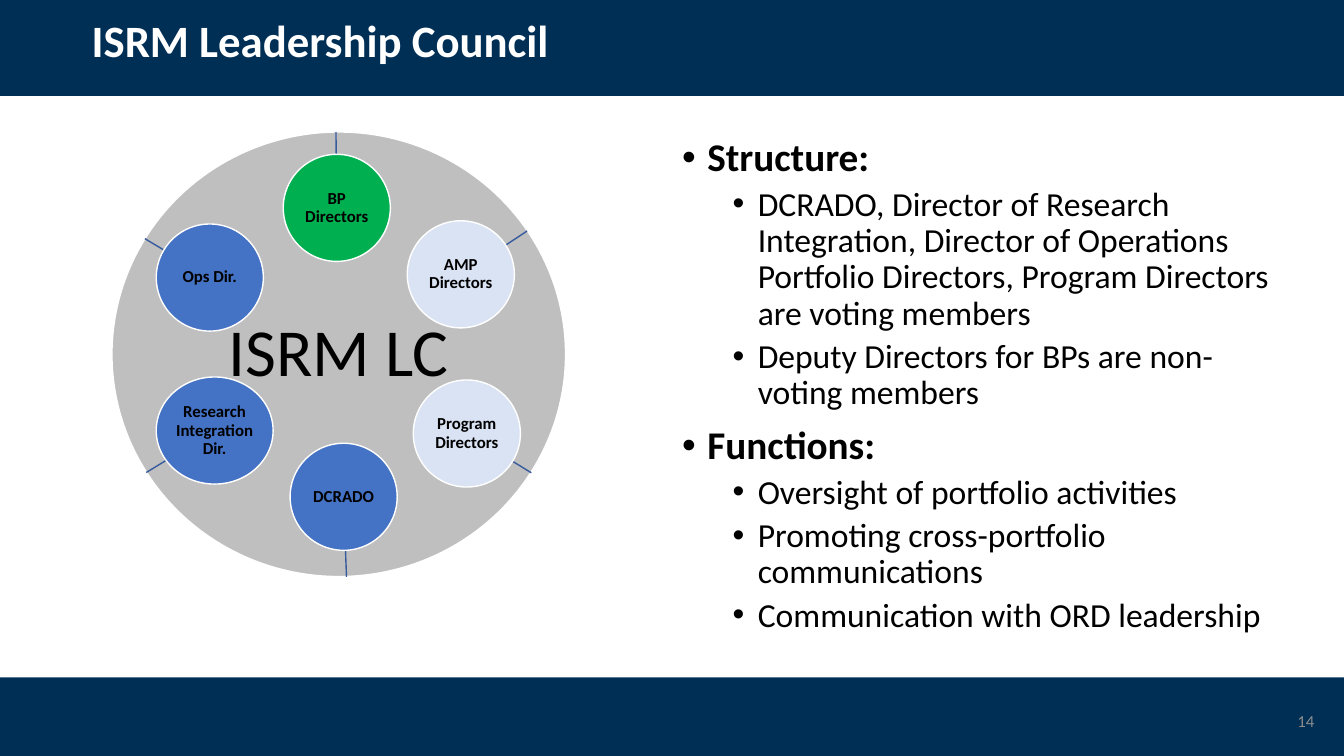
"""Build the ISRM Leadership Council slide."""
from dataclasses import dataclass

from lxml import etree
from pptx import Presentation
from pptx import util as u
from pptx.dml.color import RGBColor
from pptx.enum import shapes, text
from pptx.oxml import ns

NAVY, WHITE, BLACK = "002F56", "FFFFFF", "000000"
BLUE, PALE, GREEN, GREY = "4472C4", "DAE3F3", "00B050", "BFBFBF"
SPOKE_BLUE, NUMBER_GREY = "365B9D", "8C8C8C"
DIAMETER = 76.5


@dataclass
class Member:
    label: str
    fill: str
    left: float
    top: float
    rim: tuple[float, float]
    hub: tuple[float, float]
    width: float = DIAMETER


@dataclass
class Topic:
    heading: str
    points: list[str]


MEMBERS = [
    Member("BP Directors", GREEN, 202.3, 110.2, (240, 94.3), (241, 186.5)),
    Member("AMP Directors", PALE, 290.9, 157.7, (376.5, 165), (297.5, 217.5)),
    Member("Program Directors", PALE, 295.2, 271.4, (379.5, 337.7), (301, 289.5)),
    Member("DCRADO", BLUE, 207.2, 316.6, (247.5, 412), (244, 317)),
    Member("Research Integration Dir.", BLUE, 111.6, 269.3, (104.5, 337.5), (188, 286.5), 83.5),
    Member("Ops Dir.", BLUE, 111.6, 160, (103.5, 170.5), (183, 218)),
]
TOPICS = [
    Topic("Structure:", [
        "DCRADO, Director of Research Integration, Director of Operations "
        "Portfolio Directors, Program Directors are voting members",
        "Deputy Directors for BPs are non-voting members",
    ]),
    Topic("Functions:", [
        "Oversight of portfolio activities",
        "Promoting cross-portfolio communications",
        "Communication with ORD leadership",
    ]),
]


def color(value: str) -> RGBColor:
    return RGBColor.from_string(value)


def style(para, size: float, shade: str, bold: bool = False) -> None:
    para.font.name = "Calibri"
    para.font.size = u.Pt(size)
    para.font.bold = bold
    para.font.color.rgb = color(shade)


def set_margins(frame, margin: float) -> None:
    frame.margin_left = frame.margin_right = u.Pt(margin)
    frame.margin_top = frame.margin_bottom = u.Pt(margin)


def add_filled(page, kind, left: float, top: float, width: float, height: float, fill: str):
    shape = page.shapes.add_shape(kind, u.Pt(left), u.Pt(top), u.Pt(width), u.Pt(height))
    shape.shadow.inherit = False
    shape.fill.solid()
    shape.fill.fore_color.rgb = color(fill)
    shape.line.fill.background()
    return shape


def add_circle(page, left: float, top: float, width: float, height: float,
               fill: str, label: str, size: float, bold: bool) -> None:
    circle = add_filled(page, shapes.MSO_SHAPE.OVAL, left, top, width, height, fill)
    circle.line.color.rgb = color(WHITE)
    circle.line.width = u.Pt(1)
    frame = circle.text_frame
    frame.word_wrap = True
    frame.vertical_anchor = text.MSO_ANCHOR.MIDDLE
    set_margins(frame, 1)
    para = frame.paragraphs[0]
    para.text = label
    para.alignment = text.PP_ALIGN.CENTER
    para.line_spacing = 0.9
    style(para, size, BLACK, bold)


def add_spoke(page, member: Member) -> None:
    ends = [u.Pt(value) for value in (*member.rim, *member.hub)]
    spoke = page.shapes.add_connector(shapes.MSO_CONNECTOR.STRAIGHT, *ends)
    spoke.line.color.rgb = color(SPOKE_BLUE)
    spoke.line.width = u.Pt(1)
    etree.SubElement(spoke._element.spPr, ns.qn("a:effectLst"))


def add_text_box(page, left: float, top: float, width: float, height: float):
    box = page.shapes.add_textbox(u.Pt(left), u.Pt(top), u.Pt(width), u.Pt(height))
    box.text_frame.word_wrap = True
    return box.text_frame


def add_bullet(para, content: str, level: int, space_before: float) -> None:
    para.text = content
    para.level = level
    para.line_spacing = 0.9
    para.space_before = u.Pt(space_before)
    properties = para._p.get_or_add_pPr()
    properties.set("marL", str(u.Pt(18 + 36 * level)))
    properties.set("indent", str(u.Pt(-18)))
    etree.SubElement(properties, ns.qn("a:buFont"), typeface="Arial")
    etree.SubElement(properties, ns.qn("a:buChar"), char="•")
    style(para, 24 if level else 28, BLACK, level == 0)


def add_topics(page) -> None:
    frame = add_text_box(page, 480.2, 95, 452.9, 349.2)
    for index, topic in enumerate(TOPICS):
        heading = frame.add_paragraph() if index else frame.paragraphs[0]
        add_bullet(heading, topic.heading, 0, 10 if index else 0)
        for point in topic.points:
            add_bullet(frame.add_paragraph(), point, 1, 5)


def add_title(page) -> None:
    title = page.shapes.title
    title.left, title.top = u.Pt(58.3), u.Pt(-21.6)
    title.width, title.height = u.Pt(828), u.Pt(104.4)
    frame = title.text_frame
    frame.vertical_anchor = text.MSO_ANCHOR.MIDDLE
    para = frame.paragraphs[0]
    para.text = "ISRM Leadership Council"
    para.alignment = text.PP_ALIGN.LEFT
    para.line_spacing = 0.9
    style(para, 32, WHITE, True)
    for top, height in ((0, 68.5), (483.8, 56.2)):
        band = add_filled(page, shapes.MSO_SHAPE.RECTANGLE, 0, top, 960, height, NAVY)
        title._element.addprevious(band._element)


def add_page_number(page) -> None:
    frame = add_text_box(page, 730, 500.4, 216, 28.8)
    frame.vertical_anchor = text.MSO_ANCHOR.MIDDLE
    para = frame.paragraphs[0]
    para.text = "14"
    para.alignment = text.PP_ALIGN.RIGHT
    style(para, 12, NUMBER_GREY)


def main() -> None:
    deck = Presentation()
    deck.slide_width, deck.slide_height = u.Pt(960), u.Pt(540)
    page = deck.slides.add_slide(deck.slide_layouts[5])
    add_title(page)
    add_topics(page)
    add_circle(page, 80, 94.3, 324, 317.5, GREY, "ISRM LC", 48, False)
    for member in MEMBERS:
        add_spoke(page, member)
        add_circle(page, member.left, member.top, member.width, DIAMETER,
                   member.fill, member.label, 12, True)
    add_page_number(page)
    deck.save("out.pptx")


if __name__ == "__main__":
    main()
